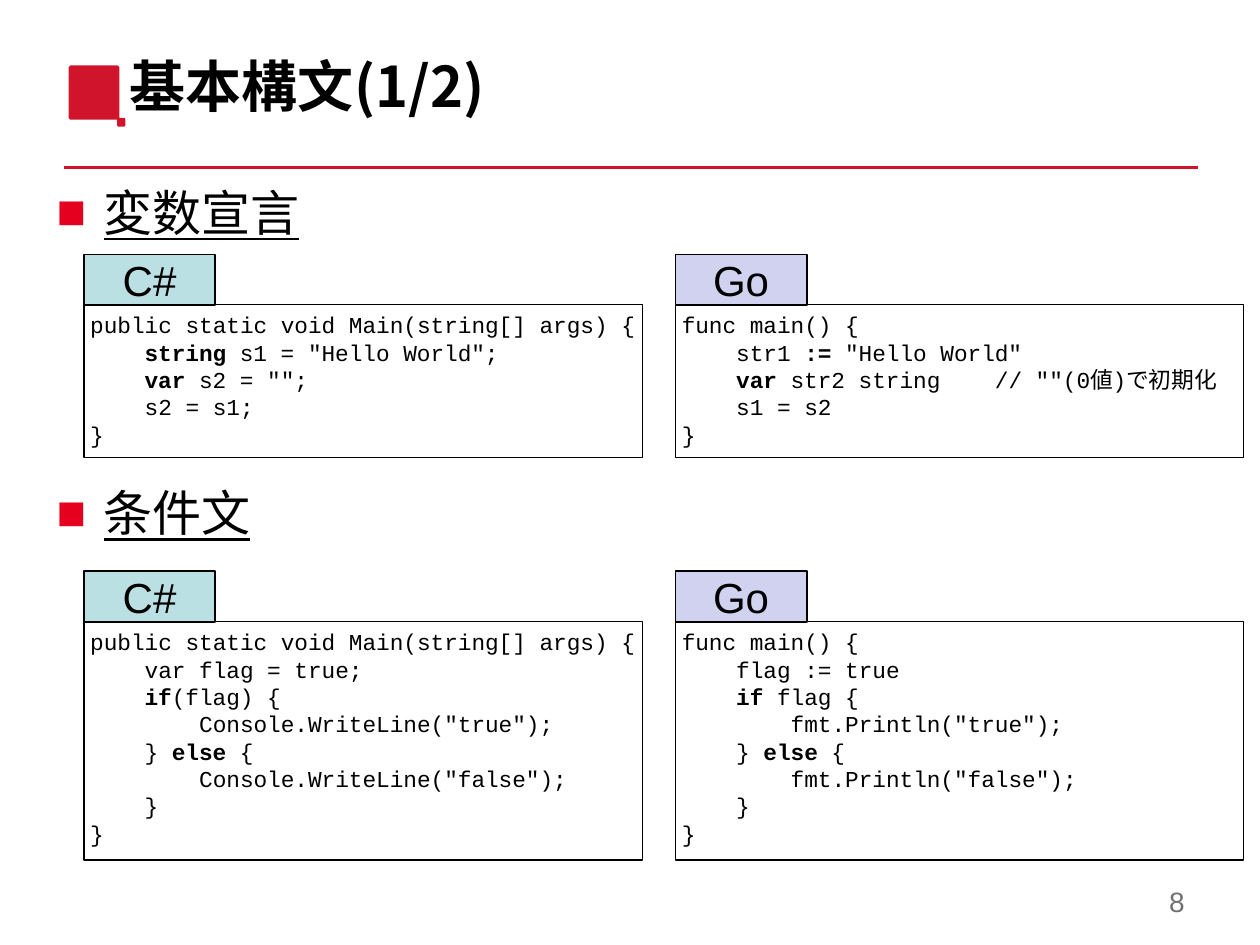
"""Build a slide that compares basic C# and Go syntax."""
import pptx
import pptx.dml.color
import pptx.enum.shapes
import pptx.enum.text
import pptx.util
from lxml import etree
from pptx.oxml.ns import qn

Pt = pptx.util.Pt
SHAPE = pptx.enum.shapes.MSO_SHAPE
ALIGN = pptx.enum.text.PP_ALIGN
ANCHOR = pptx.enum.text.MSO_ANCHOR
COLORS = {"red": "CF142B", "bullet": "E6001F", "ink": "000000",
          "gray": "717171", "C#": "BBE0E3", "Go": "D1D1F0"}
SANS, MONO, CJK = "Arial", "Courier New", "Noto Sans CJK JP"
TAG_W, TAG_H = 75, 28.8

DECLARE = {
    "C#": """public static void Main(string[] args) {
    *string* s1 = "Hello World";
    *var* s2 = "";
    s2 = s1;
}""",
    "Go": """func main() {
    str1 *:=* "Hello World"
    *var* str2 string    // ""(0値)で初期化
    s1 = s2
}"""}
BRANCH = {
    "C#": """public static void Main(string[] args) {
    var flag = true;
    *if*(flag) {
        Console.WriteLine("true");
    } *else* {
        Console.WriteLine("false");
    }
}""",
    "Go": """func main() {
    flag := true
    *if* flag {
        fmt.Println("true");
    } *else* {
        fmt.Println("false");
    }
}"""}


def color(name):
    return pptx.dml.color.RGBColor.from_string(COLORS[name])


def add_run(para, text, size, face, ink="ink", bold=False, under=False):
    run = para.add_run()
    run.text = text
    font = run.font
    font.size, font.name = Pt(size), face
    font.bold, font.underline = bold, under
    font.color.rgb = color(ink)
    east = etree.SubElement(font._element, qn("a:ea"))
    east.set("typeface", CJK)


def set_frame(frame, inset=(7.2, 3.6), anchor=ANCHOR.TOP):
    frame.word_wrap = True
    frame.vertical_anchor = anchor
    frame.margin_left = frame.margin_right = Pt(inset[0])
    frame.margin_top = frame.margin_bottom = Pt(inset[1])
    return frame


def add_box(slide, kind, box, fill, width):
    shape = slide.shapes.add_shape(kind, *map(Pt, box))
    shape.shadow.inherit = False
    if fill:
        shape.fill.solid()
        shape.fill.fore_color.rgb = color(fill)
    else:
        shape.fill.background()
    shape.line.color.rgb = color("ink")
    shape.line.width = Pt(width)
    return shape


def add_mark(slide, left, top):
    points = [(1, 0), (28, 0), (29, 1), (29, 30), (32, 30), (32.4, 30.6),
              (32.4, 34.4), (31.8, 35), (28.4, 35), (27.8, 34.4), (27.8, 31),
              (1, 31), (0, 30), (0, 1)]
    points = [(Pt(left + x), Pt(top + y)) for x, y in points]
    pen = slide.shapes.build_freeform(*points[0])
    pen.add_line_segments(points[1:])
    mark = pen.convert_to_shape()
    mark.shadow.inherit = False
    mark.fill.solid()
    mark.fill.fore_color.rgb = color("red")
    mark.line.fill.background()


def add_header(slide, left, top, width, text):
    rule = slide.shapes.add_connector(
        pptx.enum.shapes.MSO_CONNECTOR.STRAIGHT,
        Pt(left), Pt(top + 58.4), Pt(left + width), Pt(top + 58.4))
    rule.line.color.rgb = color("red")
    rule.line.width = Pt(2)
    etree.SubElement(rule._element.spPr, qn("a:effectLst"))
    add_mark(slide, left + 2.5, top)
    title = slide.shapes.title
    title.left, title.top = Pt(left + 30.3), Pt(top - 11.5)
    title.width, title.height = Pt(507.6), Pt(50.4)
    para = set_frame(title.text_frame).paragraphs[0]
    para.alignment = ALIGN.LEFT
    add_run(para, text, 32, CJK, bold=True)


def add_code(slide, left, top, width, height, lang, code):
    body = add_box(slide, SHAPE.RECTANGLE,
                   (left, top + TAG_H, width, height - TAG_H), None, 0.75)
    frame = set_frame(body.text_frame, (3.6, 3.6))
    for row, line in enumerate(code.split("\n")):
        para = frame.add_paragraph() if row else frame.paragraphs[0]
        para.alignment = ALIGN.LEFT
        for part, text in enumerate(line.split("*")):
            if text:
                add_run(para, text, 13, MONO, bold=part % 2 == 1)
    tag = add_box(slide, SHAPE.RECTANGLE, (left, top, TAG_W, TAG_H), lang, 1)
    para = set_frame(tag.text_frame, (3.6, 0), ANCHOR.MIDDLE).paragraphs[0]
    para.alignment = ALIGN.CENTER
    add_run(para, lang, 24, SANS)


def add_pair(slide, left, top, height, codes):
    for lang, shift, width in (("C#", 0, 319.4), ("Go", 338, 324.7)):
        add_code(slide, left + shift, top, width, height, lang, codes[lang])


def add_heads(slide, box, heads):
    frame = set_frame(slide.shapes.add_textbox(*map(Pt, box)).text_frame)
    for row, (text, gap) in enumerate(heads):
        para = frame.add_paragraph() if row else frame.paragraphs[0]
        para.space_before = Pt(gap)
        props = para._p.get_or_add_pPr()
        props.set("marL", str(Pt(27)))
        props.set("indent", str(Pt(-27)))
        tint = etree.SubElement(props, qn("a:buClr"))
        etree.SubElement(tint, qn("a:srgbClr")).set("val", COLORS["bullet"])
        etree.SubElement(props, qn("a:buFont")).set("typeface", SANS)
        etree.SubElement(props, qn("a:buChar")).set("char", "■")
        add_run(para, text, 28, CJK, under=True)


def add_number(slide, box, text):
    area = slide.shapes.add_textbox(*map(Pt, box))
    para = set_frame(area.text_frame, anchor=ANCHOR.MIDDLE).paragraphs[0]
    para.alignment = ALIGN.RIGHT
    add_run(para, text, 16, SANS, "gray")


def main():
    deck = pptx.Presentation()
    deck.slide_width, deck.slide_height = Pt(720), Pt(540)
    slide = deck.slides.add_slide(deck.slide_layouts[5])
    add_header(slide, 36.7, 37.4, 648, "基本構文(1/2)")
    add_number(slide, (529.2, 500.4, 154.8, 28.8), "8")
    add_pair(slide, 48, 145.4, 116, DECLARE)
    add_pair(slide, 48, 326.5, 165, BRANCH)
    add_heads(slide, (25.2, 100.8, 694.8, 418.3),
              [("変数宣言", 5), ("条件文", 138)])
    deck.save("out.pptx")


main()
